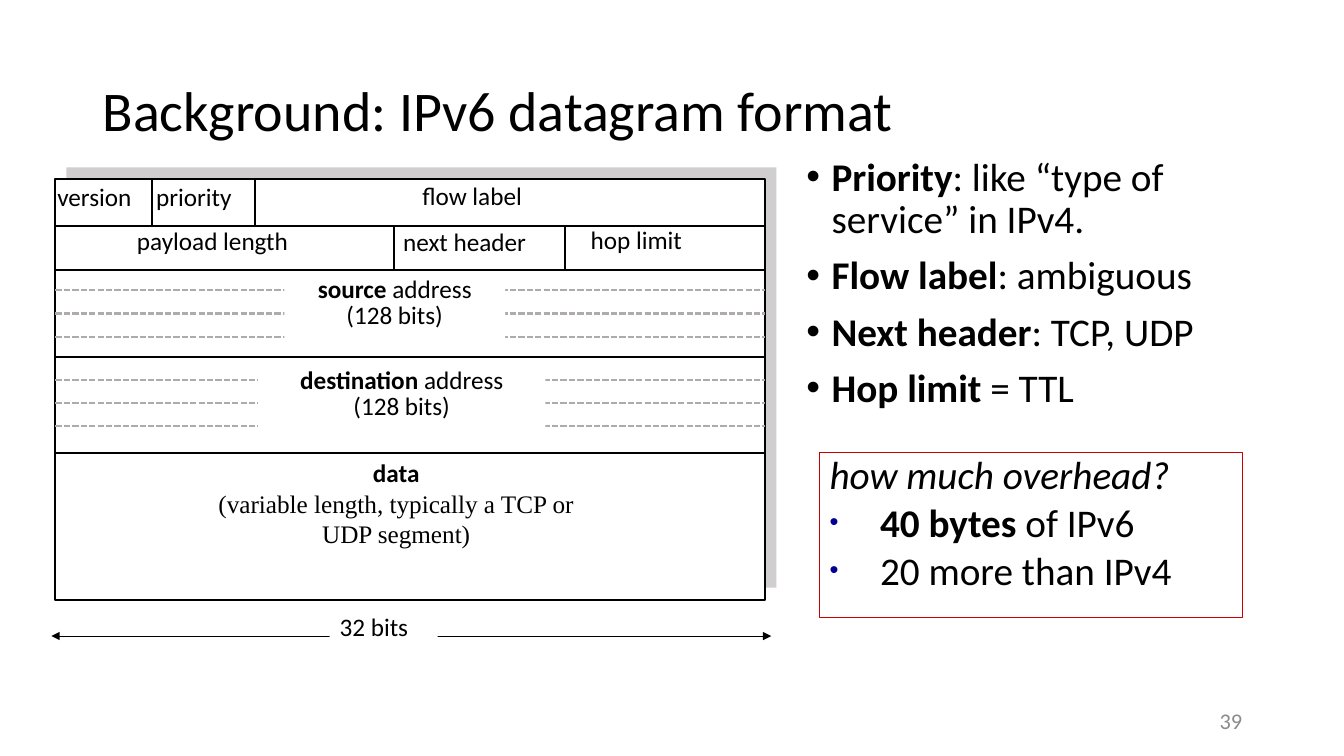
from lxml.etree import SubElement
from pptx import Presentation
from pptx.dml.color import RGBColor
from pptx.enum.dml import MSO_LINE
from pptx.enum.shapes import MSO_CONNECTOR, MSO_SHAPE
from pptx.enum.text import MSO_ANCHOR as Anchor, PP_ALIGN as Align
from pptx.oxml.ns import qn
from pptx.util import Inches, Pt

BLACK, WHITE, SHADE, DASH, RED, NAVY, GRAY = (
    "000000", "FFFFFF", "D0CECE", "AFABAB", "CC0000", "000099", "8C8C8C")


def color(value):
    return RGBColor.from_string(value)


def add_bullet(paragraph, indent, bullet_color, bullet_size):
    properties = paragraph._p.get_or_add_pPr()
    properties.set("marL", str(Inches(indent)))
    properties.set("indent", str(-Inches(indent)))
    if bullet_color:
        holder = SubElement(properties, qn("a:buClr"))
        SubElement(holder, qn("a:srgbClr")).set("val", bullet_color)
    if bullet_size:
        SubElement(properties, qn("a:buSzPct")).set("val", str(bullet_size * 1000))
    SubElement(properties, qn("a:buFont")).set("typeface", "Arial")
    SubElement(properties, qn("a:buChar")).set("char", "•")


def add_paragraph(frame, runs, size=18, fill=BLACK, font="Calibri", align=Align.LEFT,
                  spacing=None, before=0, indent=0, bullet_color=None,
                  bullet_size=None, italic=False):
    first = not frame.paragraphs[0].runs
    paragraph = frame.paragraphs[0] if first else frame.add_paragraph()
    if indent:
        add_bullet(paragraph, indent, bullet_color, bullet_size)
    paragraph.alignment = align
    if spacing:
        paragraph.line_spacing = spacing
    if before and not first:
        paragraph.space_before = Pt(before)
    for text, bold in runs:
        run = paragraph.add_run()
        run.text = text
        run.font.name, run.font.size = font, Pt(size)
        run.font.bold, run.font.italic = bold, italic
        run.font.color.rgb = color(fill)


def add_text_frame(slide, left, top, width, height, anchor=Anchor.TOP):
    box = slide.shapes.add_textbox(*map(Inches, (left, top, width, height)))
    box.text_frame.word_wrap = True
    box.text_frame.vertical_anchor = anchor
    return box.text_frame


def add_rectangle(slide, left, top, width, height, fill=None, line=None, weight=1.5):
    shape = slide.shapes.add_shape(
        MSO_SHAPE.RECTANGLE, *map(Inches, (left, top, width, height)))
    shape.shadow.inherit = False
    if fill:
        shape.fill.solid()
        shape.fill.fore_color.rgb = color(fill)
    else:
        shape.fill.background()
    if line:
        shape.line.color.rgb = color(line)
        shape.line.width = Pt(weight)
    else:
        shape.line.fill.background()
    shape.text_frame.word_wrap = True
    shape.text_frame.vertical_anchor = Anchor.TOP
    return shape.text_frame


def add_line(slide, x1, y1, x2, y2, fill=BLACK, weight=1.5, dashed=False, arrows=False):
    connector = slide.shapes.add_connector(
        MSO_CONNECTOR.STRAIGHT, *map(Inches, (x1, y1, x2, y2)))
    connector.line.color.rgb = color(fill)
    connector.line.width = Pt(weight)
    if dashed:
        connector.line.dash_style = MSO_LINE.SQUARE_DOT
    if arrows:
        for end in ("a:headEnd", "a:tailEnd"):
            SubElement(connector.line._get_or_add_ln(), qn(end)).set("type", "triangle")
    SubElement(connector._element.spPr, qn("a:effectLst"))


def draw_title(slide, left, top, width, height):
    frame = add_text_frame(slide, left, top, width, height, Anchor.MIDDLE)
    add_paragraph(frame, [("Background: IPv6 datagram format", False)], size=40, spacing=0.9)


def draw_page_number(slide, left, top, width, height):
    frame = add_text_frame(slide, left, top, width, height, Anchor.MIDDLE)
    add_paragraph(frame, [("39", False)], size=16, fill=GRAY, align=Align.RIGHT)


def draw_address(slide, left, top, width, name, label_left, label_top, label_width):
    for row in range(3):
        y = top + 0.23 * row
        add_line(slide, left, y, left + width, y, fill=DASH, dashed=True)
    label = add_rectangle(slide, label_left, label_top, label_width, 0.8, fill=WHITE)
    for runs in ([(name, True), (" address", False)], [("(128 bits)", False)]):
        add_paragraph(label, runs, align=Align.CENTER, spacing=0.85)


def draw_datagram(slide, left, top, width, height):
    add_rectangle(slide, left + 0.11, top - 0.12, width, height, fill=SHADE)
    add_rectangle(slide, left, top, width, height, fill=WHITE, line=BLACK)

    first_row, second_row, source_row, destination_row = 0.46, 0.9, 1.76, 2.71
    for x in (0.96, 1.98):
        add_line(slide, left + x, top, left + x, top + first_row)
    for x in (3.36, 5.05):
        add_line(slide, left + x, top + first_row, left + x, top + second_row)
    for y in (first_row, second_row, source_row, destination_row):
        add_line(slide, left, top + y, left + width, top + y)

    fields = [("version", -0.08, -0.03, 1.15), ("priority", 0.9, -0.03, 1.16),
              ("flow label", 3.54, -0.04, 1.47), ("payload length", 0.71, 0.41, 2.09),
              ("next header", 3.35, 0.42, 1.72), ("hop limit", 5.21, 0.4, 1.39)]
    for name, x, y, field_width in fields:
        frame = add_text_frame(slide, left + x, top + y, field_width, 0.5)
        add_paragraph(frame, [(name, False)])

    draw_address(slide, left, top + second_row + 0.2, width, "source",
                 left + 2.27, top + 0.93, 2.19)
    draw_address(slide, left, top + source_row + 0.23, width, "destination",
                 left + 2.01, top + 1.83, 2.85)

    data = add_text_frame(slide, left + 1.48, top + destination_row, 3.8, 1.31)
    add_paragraph(data, [("data", True)], align=Align.CENTER)
    add_paragraph(data, [("(variable length, typically a TCP or UDP segment)", False)],
                  font="Times New Roman", align=Align.CENTER)

    scale = top + height + 0.36
    add_line(slide, left - 0.04, scale, left + width + 0.06, scale, weight=0.75, arrows=True)
    bits = add_rectangle(slide, left + 2.72, scale - 0.29, 1.07, 0.5, fill=WHITE)
    add_paragraph(bits, [("32 bits", False)])


def draw_field_notes(slide, left, top, width, height):
    frame = add_text_frame(slide, left, top, width, height)
    notes = [("Priority", ": like “type of service” in IPv4."),
             ("Flow label", ": ambiguous"),
             ("Next header", ": TCP, UDP"),
             ("Hop limit ", "= TTL")]
    for name, meaning in notes:
        add_paragraph(frame, [(name, True), (meaning, False)],
                      size=28, spacing=0.9, before=10, indent=0.25)


def draw_overhead(slide, left, top, width, height):
    frame = add_rectangle(slide, left, top, width, height, line=RED, weight=0.75)
    add_paragraph(frame, [("how much overhead?", False)], size=28, spacing=0.85, italic=True)
    for runs in ([("40 bytes ", True), ("of IPv6", False)], [("20 more than IPv4", False)]):
        add_paragraph(frame, runs, size=28, spacing=0.85, before=5.6, indent=0.5,
                      bullet_color=NAVY, bullet_size=65)


def main():
    presentation = Presentation()
    presentation.slide_width, presentation.slide_height = Inches(13.33), Inches(7.5)
    slide = presentation.slides.add_slide(presentation.slide_layouts[6])
    draw_title(slide, 0.92, 0.4, 11.5, 1.45)
    draw_page_number(slide, 9.42, 6.95, 3, 0.4)
    draw_field_notes(slide, 7.9, 1.51, 4.83, 2.73)
    draw_datagram(slide, 0.55, 1.78, 7.04, 4.17)
    draw_overhead(slide, 8.13, 4.49, 4.19, 1.64)
    presentation.save("out.pptx")


if __name__ == "__main__":
    main()
